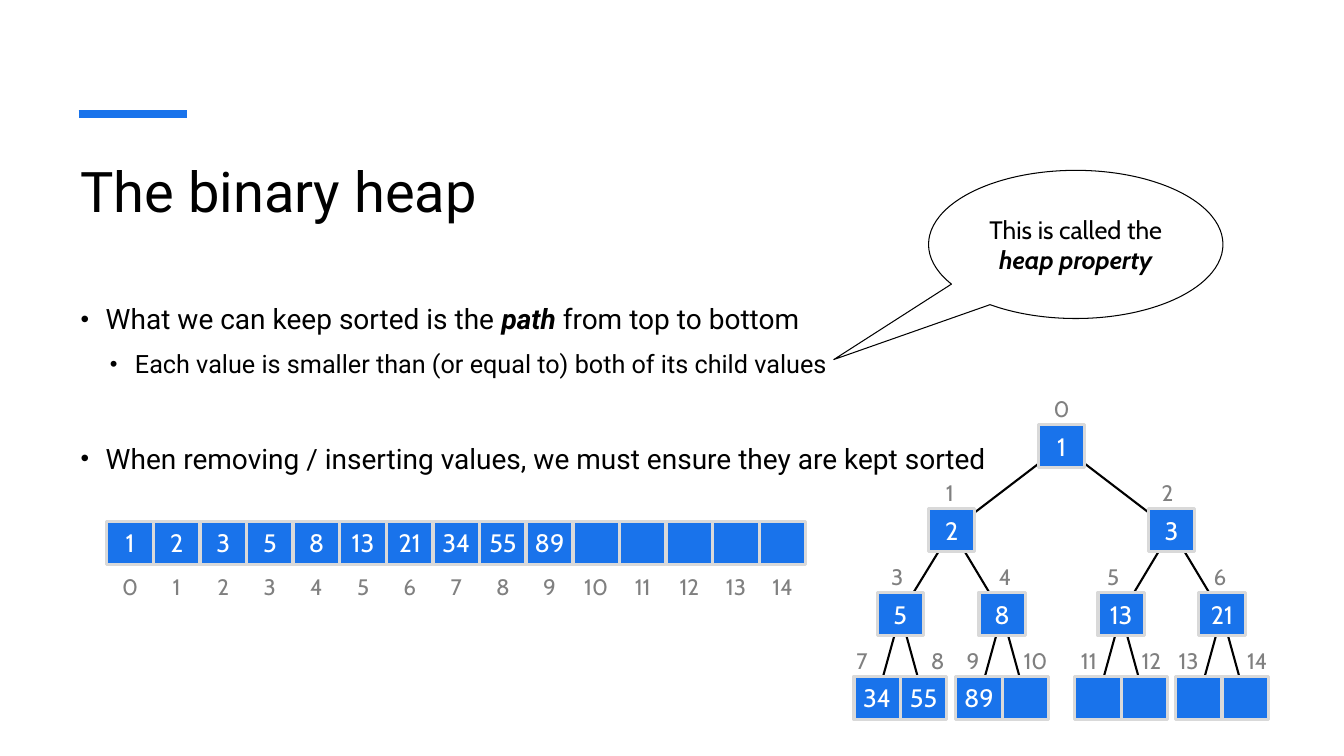
"""Build the slide on the binary heap and its array."""
from lxml import etree
from pptx import Presentation
from pptx import util as u
from pptx.dml.color import RGBColor
from pptx.enum import shapes, text
from pptx.oxml.ns import qn

BLUE = RGBColor(0x19, 0x73, 0xEB)
SILVER = RGBColor(0xD9, 0xD9, 0xD9)
GRAY = RGBColor(0x80, 0x80, 0x80)
BLACK = RGBColor(0, 0, 0)
WHITE = RGBColor(255, 255, 255)

deck = Presentation()
deck.slide_width, deck.slide_height = u.Inches(13.33), u.Inches(7.5)
slide = deck.slides.add_slide(deck.slide_layouts[6])


def write(words, box, shape=None, fill=None, edge=None, width=2.25, size=18,
          font="Cabin", color=BLACK, center=True, side=0, indent=None):
    """Put paragraphs of (text, strong) runs in a box or a preset shape."""
    area = [u.Inches(n) for n in box]
    if shape is None:
        item = slide.shapes.add_textbox(*area)
    else:
        item = slide.shapes.add_shape(shape, *area)
        item.shadow.inherit = False
        item.line.color.rgb = edge
        item.line.width = u.Pt(width)
        if fill is None:
            item.fill.background()
        else:
            item.fill.solid()
            item.fill.fore_color.rgb = fill
    frame = item.text_frame
    frame.word_wrap = True
    frame.margin_left = frame.margin_right = u.Inches(side)
    frame.vertical_anchor = text.MSO_ANCHOR.MIDDLE if center else text.MSO_ANCHOR.TOP
    if isinstance(words, str):
        words = [[(words, False)]]
    for n, runs in enumerate(words):
        para = frame.paragraphs[0] if n == 0 else frame.add_paragraph()
        para.alignment = text.PP_ALIGN.CENTER if center else text.PP_ALIGN.LEFT
        for part, strong in runs:
            run = para.add_run()
            run.text = part
            run.font.name, run.font.size = font, u.Pt(size)
            run.font.color.rgb = color
            run.font.bold = run.font.italic = strong
    return item


def link(start, end, color=BLACK, width=1.5):
    """Draw a straight line between two points."""
    line = slide.shapes.add_connector(
        shapes.MSO_CONNECTOR.STRAIGHT, *[u.Inches(n) for n in (*start, *end)])
    line.line.color.rgb = color
    line.line.width = u.Pt(width)
    etree.SubElement(line._element.spPr, qn("a:effectLst"))


link((0.78, 1.13), (1.85, 1.13), BLUE, 6)
write("The binary heap", (0.7, 1.5, 11.91, 1.2), size=40, font="Roboto",
      center=False, side=0.1)

points = [
    [("What we can keep sorted is the ", False), ("path ", True),
     ("from top to bottom", False)],
    [("Each value is smaller than (or equal to) both of its child values", False)],
    [("When removing / inserting values, we must ensure they are kept sorted", False)],
]
body = write(points, (0.7, 2.88, 11.91, 2.16), size=20, font="Roboto",
             center=False, side=0.1)
looks = [(0.25, 0, 20), (0.54, 5, 18), (0.25, 40, 20)]
for para, (indent, gap, size) in zip(body.text_frame.paragraphs, looks):
    para.line_spacing = 1.2
    para.space_before = u.Pt(gap)
    for run in para.runs:
        run.font.size = u.Pt(size)
    props = para._p.get_or_add_pPr()
    props.set("marL", str(u.Inches(indent)))
    props.set("indent", str(u.Inches(-0.25)))
    etree.SubElement(props, qn("a:buSzPct")).set("val", "87000")
    etree.SubElement(props, qn("a:buFont")).set("typeface", "Arial")
    etree.SubElement(props, qn("a:buChar")).set("char", "•")

WIDE, HIGH = 0.46, 0.43
RECT = shapes.MSO_SHAPE.RECTANGLE
values = [1, 2, 3, 5, 8, 13, 21, 34, 55, 89]
cells = [str(n) for n in values] + [""] * 5

lefts = [10.3, 9.21, 11.39, 8.7, 9.71, 10.89, 11.89]
for mid in lefts[3:]:
    lefts += [mid - WIDE / 2, mid + WIDE / 2]
tops = [4.21 + 0.833 * ((n + 1).bit_length() - 1) for n in range(15)]
tags = [10.3, 9.19, 11.35, 8.67, 9.74, 10.81, 11.87,
        8.32, 9.07, 9.42, 10.04, 10.57, 11.19, 11.56, 12.24]
mids = [(x + WIDE / 2, y + HIGH / 2) for x, y in zip(lefts, tops)]

for n in range(1, 15):
    link(mids[(n - 1) // 2], mids[n])

for n in reversed(range(15)):
    spots = [(lefts[n], tops[n], tags[n], tops[n] - 0.37),
             (1.06 + 0.4623 * n, 5.17, 1.06 + 0.4623 * n, 5.6)]
    for x, y, tag, rise in spots:
        write(cells[n], (x, y, WIDE, HIGH), RECT, BLUE, SILVER, color=WHITE)
        write(str(n), (tag, rise, WIDE, HIGH), size=16, color=GRAY)

bubble = write([[("This is called the ", False), ("heap property", True)]],
               (9.21, 1.69, 2.92, 1.47), shapes.MSO_SHAPE.OVAL_CALLOUT,
               edge=BLACK, width=0.75, side=0.1)
bubble.adjustments[0], bubble.adjustments[1] = -0.822, 0.777

deck.save("out.pptx")
